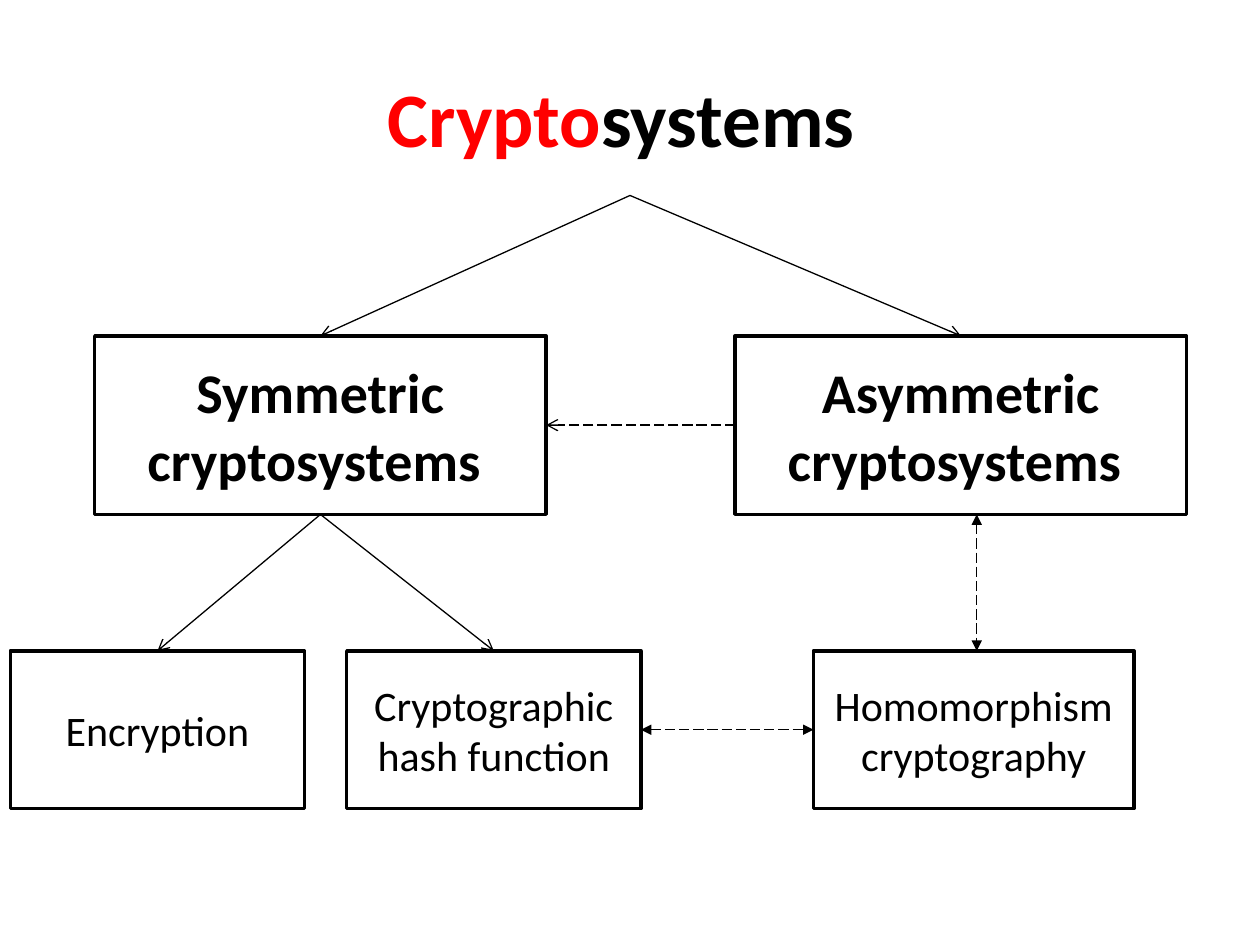
from dataclasses import dataclass

from lxml.etree import SubElement
from pptx import Presentation
from pptx.dml.color import RGBColor
from pptx.enum.dml import MSO_LINE
from pptx.enum.shapes import MSO_CONNECTOR as CONN, MSO_SHAPE as SHAPE
from pptx.enum.text import MSO_ANCHOR as ANCHOR, PP_ALIGN as ALIGN
from pptx.oxml.ns import qn
from pptx.util import Cm, Pt


@dataclass(frozen=True)
class Theme:
    font: str = "Calibri"
    ink: RGBColor = RGBColor(0, 0, 0)
    accent: RGBColor = RGBColor(255, 0, 0)
    paper: RGBColor = RGBColor(255, 255, 255)
    title: Pt = Pt(44)
    family: Pt = Pt(32)
    method: Pt = Pt(24)
    border: Pt = Pt(2)
    arrow: Pt = Pt(0.75)


theme = Theme()
TOP, BOTTOM, LEFT, RIGHT = 0, 2, 1, 3


def add_box(text, x, y, w, h, size, bold):
    sp = s.shapes.add_shape(SHAPE.RECTANGLE, Cm(x), Cm(y), Cm(w), Cm(h))
    sp.shadow.inherit = False
    sp.fill.solid()
    sp.fill.fore_color.rgb = theme.paper
    sp.line.color.rgb = theme.ink
    sp.line.width = theme.border
    tf = sp.text_frame
    tf.word_wrap = True
    tf.vertical_anchor = ANCHOR.MIDDLE
    p = tf.paragraphs[0]
    p.text = text
    p.alignment = ALIGN.CENTER
    p.font.name = theme.font
    p.font.size = size
    p.font.bold = bold
    p.font.color.rgb = theme.ink
    return sp


def add_arrow(x1, y1, x2, y2, tail, head=None, dashed=False):
    cx = s.shapes.add_connector(CONN.STRAIGHT, x1, y1, x2, y2)
    cx.line.color.rgb = theme.ink
    cx.line.width = theme.arrow
    if dashed:
        cx.line.dash_style = MSO_LINE.LONG_DASH
    ln = cx.line._get_or_add_ln()
    if head:
        SubElement(ln, qn("a:headEnd"), type=head)
    SubElement(ln, qn("a:tailEnd"), type=tail)
    SubElement(cx._element.spPr, qn("a:effectLst"))
    return cx


prs = Presentation()
prs.slide_width, prs.slide_height = Cm(25.4), Cm(19.05)
s = prs.slides.add_slide(prs.slide_layouts[5])

title = s.shapes.title
title.left, title.top, title.width, title.height = Cm(1.27), Cm(0.76), Cm(22.86), Cm(3.18)
title.text_frame.vertical_anchor = ANCHOR.MIDDLE
p = title.text_frame.paragraphs[0]
p.alignment = ALIGN.CENTER
p.font.name = theme.font
p.font.size = theme.title
p.font.bold = True
for text, color in (("Crypto", theme.accent), ("systems ", theme.ink)):
    r = p.add_run()
    r.text = text
    r.font.color.rgb = color

symmetric, asymmetric = [
    add_box(f"{kind} cryptosystems ", x, 6.77, 9.1, 3.6, theme.family, True)
    for kind, x in (("Symmetric", 1.91), ("Asymmetric", 14.82))
]
encryption, hashing, homomorphism = [
    add_box(text, x, 13.12, w, 3.18, theme.method, False)
    for text, x, w in (
        ("Encryption", 0.21, 5.93),
        ("Cryptographic hash function", 6.99, 5.93),
        ("Homomorphism cryptography", 16.4, 6.46),
    )
]

root_x = Cm(12.7)
for family in (symmetric, asymmetric):
    cx = add_arrow(root_x, title.top + title.height, root_x, family.top, "arrow")
    cx.end_connect(family, TOP)

for start, side, end, end_side, tail, head, dashed in (
    (symmetric, BOTTOM, encryption, TOP, "arrow", None, False),
    (symmetric, BOTTOM, hashing, TOP, "arrow", None, False),
    (hashing, RIGHT, homomorphism, LEFT, "triangle", "triangle", True),
    (asymmetric, LEFT, symmetric, RIGHT, "arrow", None, True),
):
    cx = add_arrow(0, 0, 0, 0, tail, head, dashed)
    cx.begin_connect(start, side)
    cx.end_connect(end, end_side)

link_x = Cm(19.69)
add_arrow(link_x, asymmetric.top + asymmetric.height, link_x, homomorphism.top,
          "triangle", "triangle", True)

prs.save("out.pptx")
